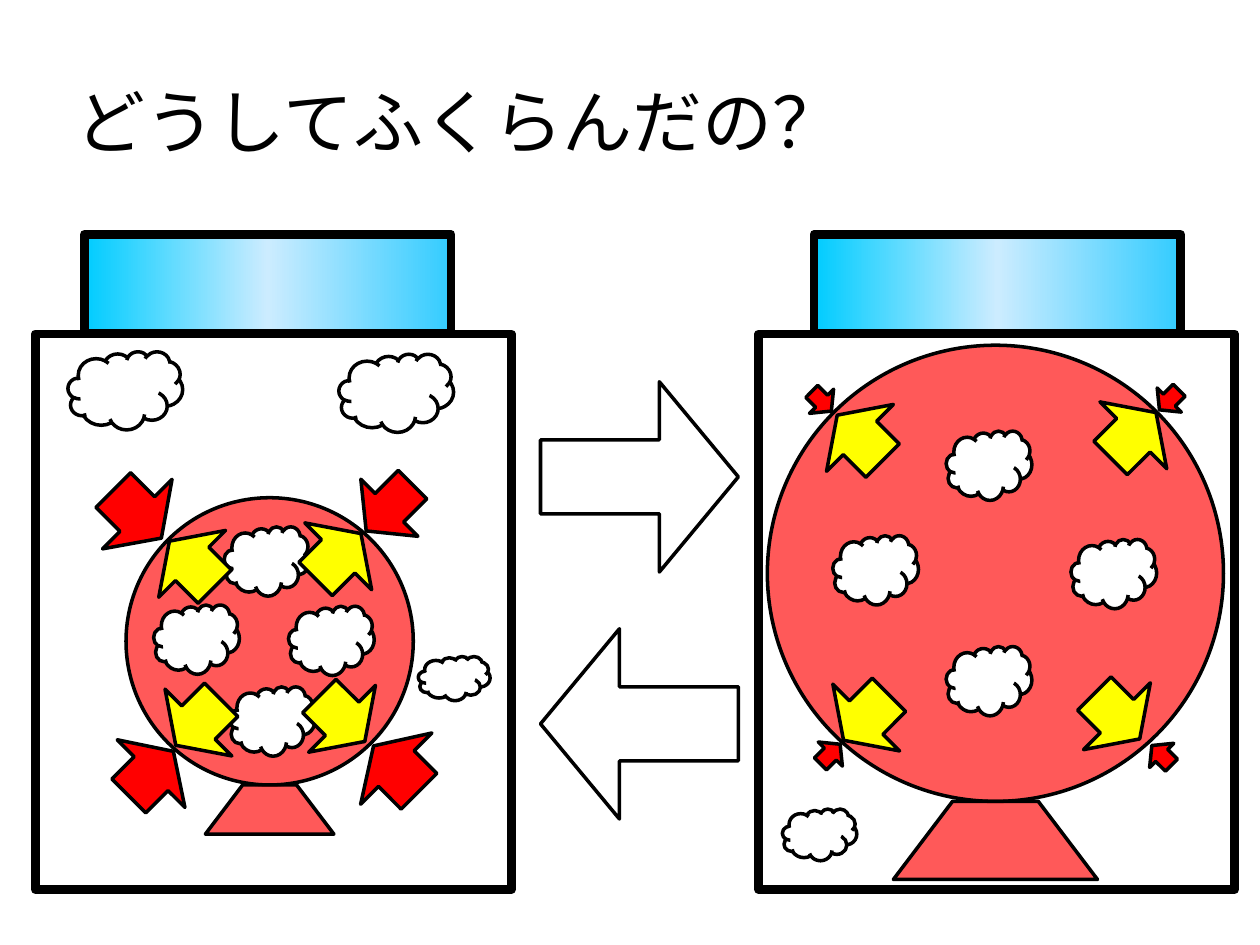
import copy
import pptx
import pptx.util
import pptx.dml.color
import pptx.enum.shapes
import pptx.enum.text
import pptx.oxml
import pptx.oxml.ns

Inches = pptx.util.Inches
Pt = pptx.util.Pt
KIND = pptx.enum.shapes.MSO_SHAPE
qn = pptx.oxml.ns.qn

FONT = "Noto Sans CJK JP"
COLORS = {
    "ink": "000000", "white": "FFFFFF", "red": "FF0000", "yellow": "FFFF00",
    "sky": "33CCFF", "pale": "CCECFF", "cyan": "00CCFF",
}


def color(name):
    return pptx.dml.color.RGBColor.from_string(COLORS[name])


class Deck:
    def __init__(self):
        self.prs = pptx.Presentation()
        self.prs.slide_width = Inches(10)
        self.prs.slide_height = Inches(7.5)
        self.slide = self.prs.slides.add_slide(self.prs.slide_layouts[5])

    def title(self, text, box):
        head = self.slide.shapes.title
        head.left, head.top, head.width, head.height = map(Inches, box)
        frame = head.text_frame
        frame.text = text
        frame.word_wrap = True
        frame.vertical_anchor = pptx.enum.text.MSO_ANCHOR.MIDDLE
        para = frame.paragraphs[0]
        para.alignment = pptx.enum.text.PP_ALIGN.LEFT
        font = para.runs[0].font
        font.name, font.size = FONT, Pt(40)
        font.color.rgb = color("ink")
        east = pptx.oxml.parse_xml(
            f'<a:ea {pptx.oxml.ns.nsdecls("a")} typeface="{FONT}"/>')
        para.runs[0].font._element.find(qn("a:latin")).addnext(east)

    def shape(self, kind, box, fill="white", width=2, turn=0, adjust=()):
        item = self.slide.shapes.add_shape(kind, *map(Inches, box))
        item.shadow.inherit = False
        item.fill.solid()
        item.fill.fore_color.rgb = color(fill)
        item.line.color.rgb = color("ink")
        item.line.width = Pt(width)
        item.rotation = turn
        for i, value in enumerate(adjust):
            item.adjustments[i] = value
        return item

    def jar(self, left):
        self.shape(KIND.RECTANGLE, (left, 2.65, 3.78, 4.41), width=5)

    def lid(self, left):
        item = self.shape(KIND.RECTANGLE, (left, 1.86, 2.91, 0.79), width=5)
        item.fill.gradient()
        item.fill.gradient_angle = 180
        first = item.element.spPr.find(".//" + qn("a:gs"))
        first.addnext(copy.deepcopy(first))
        for stop, pos, name in zip(item.fill.gradient_stops, (0, 0.5, 1),
                                   ("sky", "pale", "cyan")):
            stop.position = pos
            stop.color.rgb = color(name)

    def balloon(self, ball, neck):
        for item in (self.shape(KIND.OVAL, ball, "red"),
                     self.shape(KIND.TRAPEZOID, neck, "red", adjust=[0.758])):
            tint = item.element.spPr.find(qn("a:solidFill"))[0]
            alpha = pptx.oxml.parse_xml(
                f'<a:alpha {pptx.oxml.ns.nsdecls("a")} val="65000"/>')
            tint.append(alpha)

    def clouds(self, spots, size):
        for spot in spots:
            self.shape(KIND.CLOUD, spot + size)

    def push(self, fill, turn, spot, size):
        self.shape(KIND.RIGHT_ARROW, spot + size, fill, turn=turn)

    def pushes(self, fill, turns, spots, size):
        for turn, spot in zip(turns, spots):
            self.push(fill, turn, spot, size)


def main():
    deck = Deck()
    air = (0.68, 0.55)
    outward = (225, 45, 135, 315)
    force = (0.51, 0.75)

    # Right jar with the big balloon
    deck.jar(6.02)
    deck.title("どうしてふくらんだの？", (0.5, 0.5, 9.5, 0.92))
    deck.balloon((6.09, 2.74, 3.62, 3.62), (7.09, 6.36, 1.62, 0.62))

    # Left jar, strong pressure from outside
    deck.jar(0.28)
    deck.push("red", 225, (2.89, 5.7), (0.51, 0.8))
    deck.push("red", 315, (0.95, 5.76), (0.5, 0.76))
    deck.push("red", 45, (0.82, 3.69), (0.54, 0.78))
    deck.push("red", 135, (2.83, 3.71), (0.52, 0.64))

    # Weak pressure from outside on the right
    deck.pushes("red", (135, 225, 45, 315),
                [(9.17, 3.04), (9.11, 5.86), (6.41, 3.05), (6.48, 5.85)],
                (0.22, 0.27))

    # Air outside the balloons
    deck.clouds([(0.54, 2.79), (2.69, 2.81)], (0.91, 0.62))
    deck.clouds([(3.32, 5.21)], (0.57, 0.35))
    deck.clouds([(6.21, 6.42)], (0.59, 0.41))

    # Air and pressure inside the big balloon
    deck.clouds([(7.51, 3.42), (6.61, 4.25), (8.5, 4.28), (7.51, 5.13)], air)
    deck.pushes("yellow", outward,
                [(6.57, 3.1), (8.61, 5.31), (6.62, 5.32), (8.74, 3.08)], force)

    # Small balloon with its air and pressure
    deck.balloon((1, 3.95, 2.28, 2.28), (1.63, 6.23, 1.02, 0.39))
    deck.clouds([(1.22, 4.8), (2.29, 4.81), (1.78, 4.18), (1.82, 5.45)], air)
    deck.pushes("yellow", outward,
                [(1.27, 4.1), (2.46, 5.33), (1.32, 5.36), (2.43, 4.04)], force)

    # Lids
    for left in (0.67, 6.46):
        deck.lid(left)

    # Arrows between the jars
    for kind, top in ((KIND.RIGHT_ARROW, 3.03), (KIND.LEFT_ARROW, 4.99)):
        deck.shape(kind, (4.29, top, 1.57, 1.51), adjust=(0.389, 0.415))

    deck.prs.save("out.pptx")


if __name__ == "__main__":
    main()
